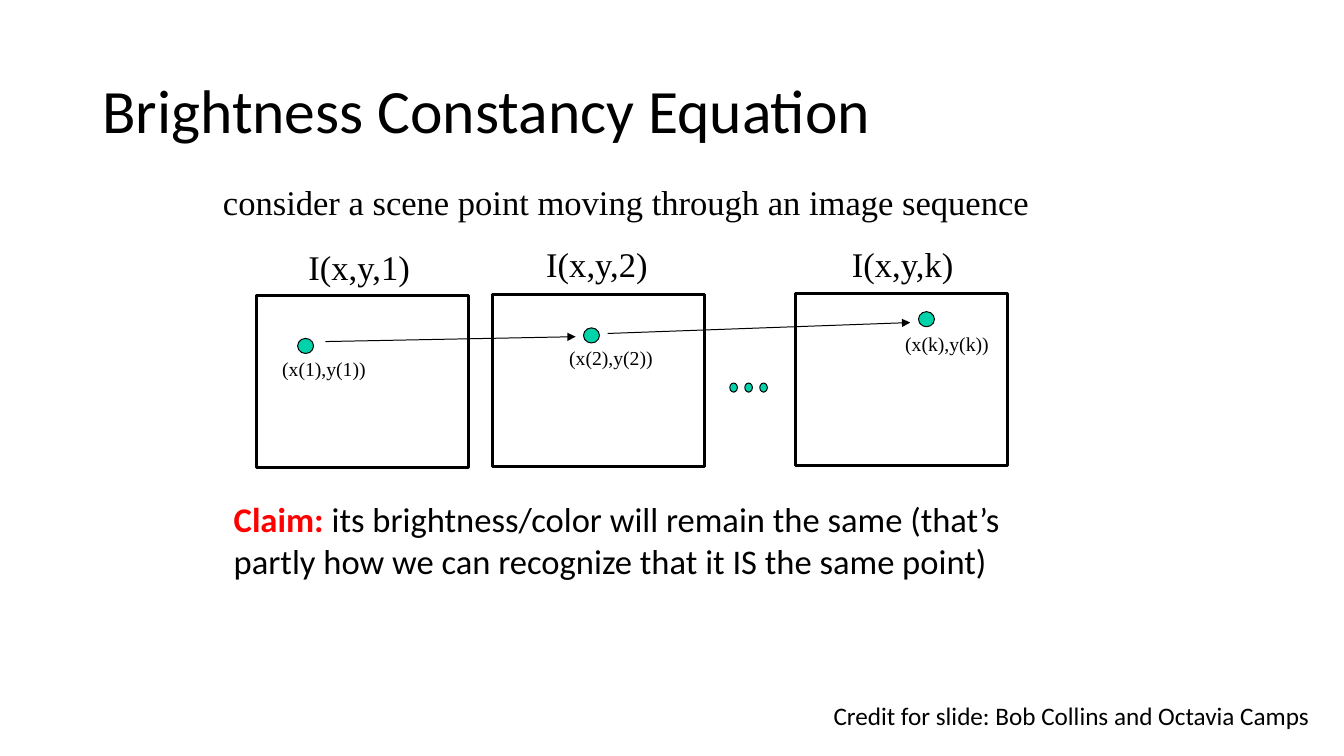
from pptx import Presentation
from pptx.util import Pt
from pptx.dml.color import RGBColor as RGB
from pptx.enum.shapes import MSO_SHAPE as Kind, MSO_CONNECTOR as Link
from pptx.enum.text import MSO_ANCHOR as Anchor
from pptx.oxml import parse_xml
from pptx.oxml.ns import nsdecls

# Content: lengths in points
INK = {"black": "000000", "red": "FF0000", "teal": "00D2A9"}
STYLE = {
    "title": {"name": "Calibri", "size": Pt(44)},
    "serif": {"name": "Times New Roman", "size": Pt(24.7)},
    "tag": {"name": "Times New Roman", "size": Pt(14.1)},
    "claim": {"name": "Calibri", "size": Pt(24.7), "bold": False},
    "strong": {"name": "Calibri", "size": Pt(24.7), "bold": True},
    "credit": {"name": "Calibri", "size": Pt(18)},
}
TITLE = "Brightness Constancy Equation"
INTRO = "consider a scene point moving through an image sequence"
CLAIM = [
    ("Claim: ", "strong", "red"),
    ("its brightness/color will remain the same (that’s partly how we can "
     "recognize that it IS the same point)", "claim", "black"),
]
CREDIT = "Credit for slide: Bob Collins and Octavia Camps"

# Frame corner, heading and its corner, point corner, tag and its corner
FRAMES = [
    ((183, 210.9), "I(x,y,1)", (220.3, 175.7), (212.6, 241.7),
     "(x(1),y(1))", (201.6, 254.9)),
    ((352, 210.2), "I(x,y,2)", (390.2, 173.5), (416.8, 234.2),
     "(x(2),y(2))", (406.6, 247)),
    ((568.2, 209.5), "I(x,y,k)", (608.5, 173.5), (656.1, 222.6),
     "(x(k),y(k))", (646.6, 237)),
]
ARROWS = [((232.5, 244), (411.2, 240.5)), ((434, 238.2), (650.2, 230.4))]
FRAME, POINT, DOT = (151.4, 123.2), (11.4, 10.8), (5.4, 6.5)
DOTS, STEP = (521.3, 273.6), 10.7

deck = Presentation()
deck.slide_width, deck.slide_height = Pt(960), Pt(540)
slide = deck.slides.add_slide(deck.slide_layouts[6])
shapes = slide.shapes


def tint(name):
    return RGB.from_string(INK[name])


def text(runs, spot, size, pad=(0, 0), wrap=True, mid=False):
    box = shapes.add_textbox(*map(Pt, spot + size))
    frame = box.text_frame
    side, top = map(Pt, pad)
    form = {"word_wrap": wrap, "margin_left": side, "margin_right": side,
            "margin_top": top, "margin_bottom": top,
            "vertical_anchor": Anchor.MIDDLE if mid else Anchor.TOP}
    for key, val in form.items():
        setattr(frame, key, val)
    para = frame.paragraphs[0]
    for words, style, hue in runs:
        run = para.add_run()
        run.text = words
        for key, val in STYLE[style].items():
            setattr(run.font, key, val)
        run.font.color.rgb = tint(hue)
    return para


def shape(kind, spot, size, width, fill=None):
    item = shapes.add_shape(kind, *map(Pt, spot + size))
    item.shadow.inherit = False
    if fill:
        item.fill.solid()
        item.fill.fore_color.rgb = tint(fill)
    else:
        item.fill.background()
    item.line.color.rgb = tint("black")
    item.line.width = Pt(width)


def arrow(start, end):
    line = shapes.add_connector(Link.STRAIGHT, *map(Pt, start + end))
    line.line.color.rgb = tint("black")
    line.line.width = Pt(0.72)
    props = line._element.spPr
    props.find("{*}ln").append(
        parse_xml(f'<a:tailEnd {nsdecls("a")} type="triangle"/>'))
    props.append(parse_xml(f'<a:effectLst {nsdecls("a")}/>'))


# Title and lead-in
head = text([(TITLE, "title", "black")], (66, 28.8), (828, 104.4),
            pad=(7.2, 3.6), mid=True)
head.line_spacing = 0.9
text([(INTRO, "serif", "black")], (159.3, 129), (590, 30))

# Image frames with the moving point
for corner, name, above, point, tag, below in FRAMES:
    shape(Kind.RECTANGLE, corner, FRAME, 2.16)
    text([(name, "serif", "black")], above, (80, 30))
    shape(Kind.OVAL, point, POINT, 0.72, "teal")
    text([(tag, "tag", "black")], below, (66, 17.3))

# Ellipsis between the frames
for i in range(3):
    shape(Kind.OVAL, (DOTS[0] + i * STEP, DOTS[1]), DOT, 0.72, "teal")

# Motion arrows
for start, end in ARROWS:
    arrow(start, end)

# Claim and credit
text(CLAIM, (167, 355.7), (590, 60))
text([(CREDIT, "credit", "black")], (588.3, 496.8), (358.6, 29),
     pad=(7.2, 3.6), wrap=False)

deck.save("out.pptx")
